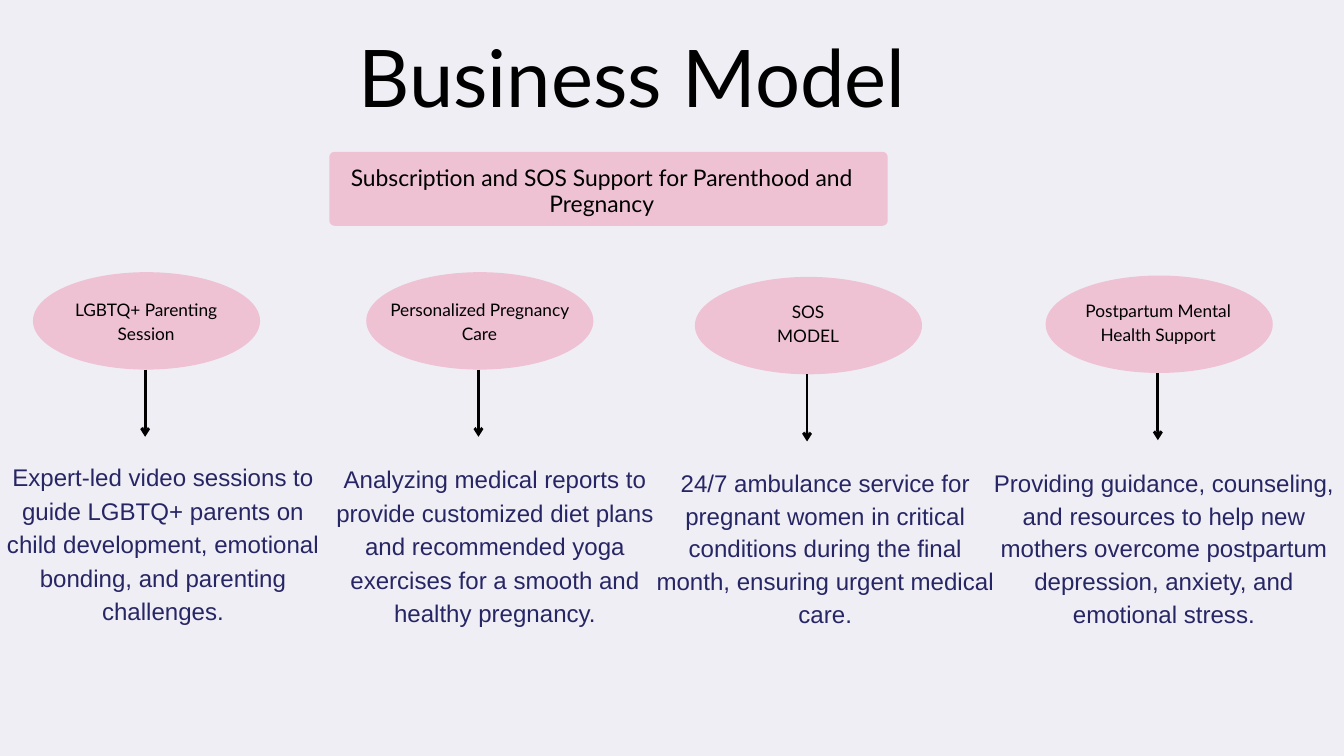
from pptx import Presentation
from pptx.dml.color import RGBColor
from pptx.enum import shapes, text
from pptx.oxml import ns, xmlchemy
from pptx.util import Inches, Pt

BACKGROUND = RGBColor(0xEF, 0xEE, 0xF4)
PINK = RGBColor(0xEE, 0xC1, 0xD3)
BLACK = RGBColor(0x00, 0x00, 0x00)
NAVY = RGBColor(0x27, 0x26, 0x65)

TITLE = {"name": "Lato", "size": Pt(85.2), "color": BLACK, "line": 47.8}
BANNER = {"name": "Lato", "size": Pt(24.5), "color": BLACK, "line": 27.3}
LABEL = {"name": "Lato", "size": Pt(18.5), "color": BLACK, "line": 25.9}
BODY = {"name": "Arial", "size": Pt(25.8), "color": NAVY, "line": 35.8}
BODY_TIGHT = {**BODY, "line": 35.1}

OVAL_W, OVAL_H = 3.38, 1.45
ARROW_X, ARROW_LEN = 1.67, 1.0

COLUMNS = [
    {"box": (0.49, 4.05), "label": "LGBTQ+ Parenting\nSession", "label_at": (0.32, 0.35),
     "body": "Expert-led video sessions to guide LGBTQ+ parents on child development, "
             "emotional bonding, and parenting challenges.",
     "body_box": (-0.53, 2.77, 4.93, 2.47), "style": BODY},
    {"box": (5.45, 4.05), "label": "Personalized Pregnancy Care", "label_at": (0.32, 0.35),
     "body": "Analyzing medical reports to provide customized diet plans and recommended "
             "yoga exercises for a smooth and healthy pregnancy.",
     "body_box": (-0.55, 2.8, 4.93, 2.47), "style": BODY},
    {"box": (10.34, 4.12), "label": "SOS\nMODEL", "label_at": (0.32, 0.31),
     "body": "24/7 ambulance service for pregnant women in critical conditions during "
             "the final month, ensuring urgent medical care.",
     "body_box": (-0.64, 2.79, 5.16, 2.4), "style": BODY_TIGHT},
    {"box": (15.56, 4.1), "label": "Postpartum Mental Health Support", "label_at": (0.31, 0.31),
     "body": "Providing guidance, counseling, and resources to help new mothers overcome "
             "postpartum depression, anxiety, and emotional stress.",
     "body_box": (-0.82, 2.81, 5.16, 2.4), "style": BODY_TIGHT},
]


def add_text(s, box, content, style):
    """Place centred text in a box without margins."""
    tf = s.shapes.add_textbox(*map(Inches, box)).text_frame
    frame = {"word_wrap": True, "margin_left": 0, "margin_top": 0,
             "margin_right": 0, "margin_bottom": 0}
    for key, value in frame.items():
        setattr(tf, key, value)
    for i, line in enumerate(content.split("\n")):
        p = tf.add_paragraph() if i else tf.paragraphs[0]
        p.alignment = text.PP_ALIGN.CENTER
        p.line_spacing = Pt(style["line"])
        r = p.add_run()
        r.text = line
        for key in ("name", "size"):
            setattr(r.font, key, style[key])
        r.font.color.rgb = style["color"]


def add_pink(s, kind, box):
    """Place a plain pink preset shape."""
    sp = s.shapes.add_shape(kind, *map(Inches, box))
    sp.shadow.inherit = False
    sp.fill.solid()
    sp.fill.fore_color.rgb = PINK
    sp.line.fill.background()
    return sp


def add_down_arrow(s, x, y, length):
    """Draw a black arrow pointing down."""
    line = s.shapes.add_connector(
        shapes.MSO_CONNECTOR.STRAIGHT, *map(Inches, (x, y, x, y + length)))
    line.line.color.rgb = BLACK
    line.line.width = Pt(3)
    tail = xmlchemy.OxmlElement("a:tailEnd")
    tail.set("type", "arrow")
    spPr = line._element.spPr
    spPr.find(ns.qn("a:ln")).append(tail)
    spPr.append(xmlchemy.OxmlElement("a:effectLst"))


def add_header(s, x, y):
    """Place the title and the banner below it."""
    add_text(s, (x - 2.32, y, 13.65, 0.85), "Business Model", TITLE)
    sp = add_pink(s, shapes.MSO_SHAPE.ROUNDED_RECTANGLE, (x, y + 1.09, 8.31, 1.1))
    sp.adjustments[0] = 0.07
    add_text(s, (x, y + 1.3, 8.11, 0.77),
             "Subscription and SOS Support for Parenthood and Pregnancy", BANNER)


def add_column(s, column):
    """Place an oval with its label, an arrow and a description."""
    x, y = column["box"]
    add_pink(s, shapes.MSO_SHAPE.OVAL, (x, y, OVAL_W, OVAL_H))
    dx, dy = column["label_at"]
    add_text(s, (x + dx, y + dy, 2.73, 0.7), column["label"], LABEL)
    add_down_arrow(s, x + ARROW_X, y + OVAL_H, ARROW_LEN)
    dx, dy, w, h = column["body_box"]
    add_text(s, (x + dx, y + dy, w, h), column["body"], column["style"])


def main():
    """Build and save the slide."""
    prs = Presentation()
    prs.slide_width, prs.slide_height = Inches(20), Inches(11.25)
    s = prs.slides.add_slide(prs.slide_layouts[6])
    s.background.fill.solid()
    s.background.fill.fore_color.rgb = BACKGROUND
    add_header(s, 4.9, 1.17)
    for column in COLUMNS:
        add_column(s, column)
    prs.save("out.pptx")


if __name__ == "__main__":
    main()
